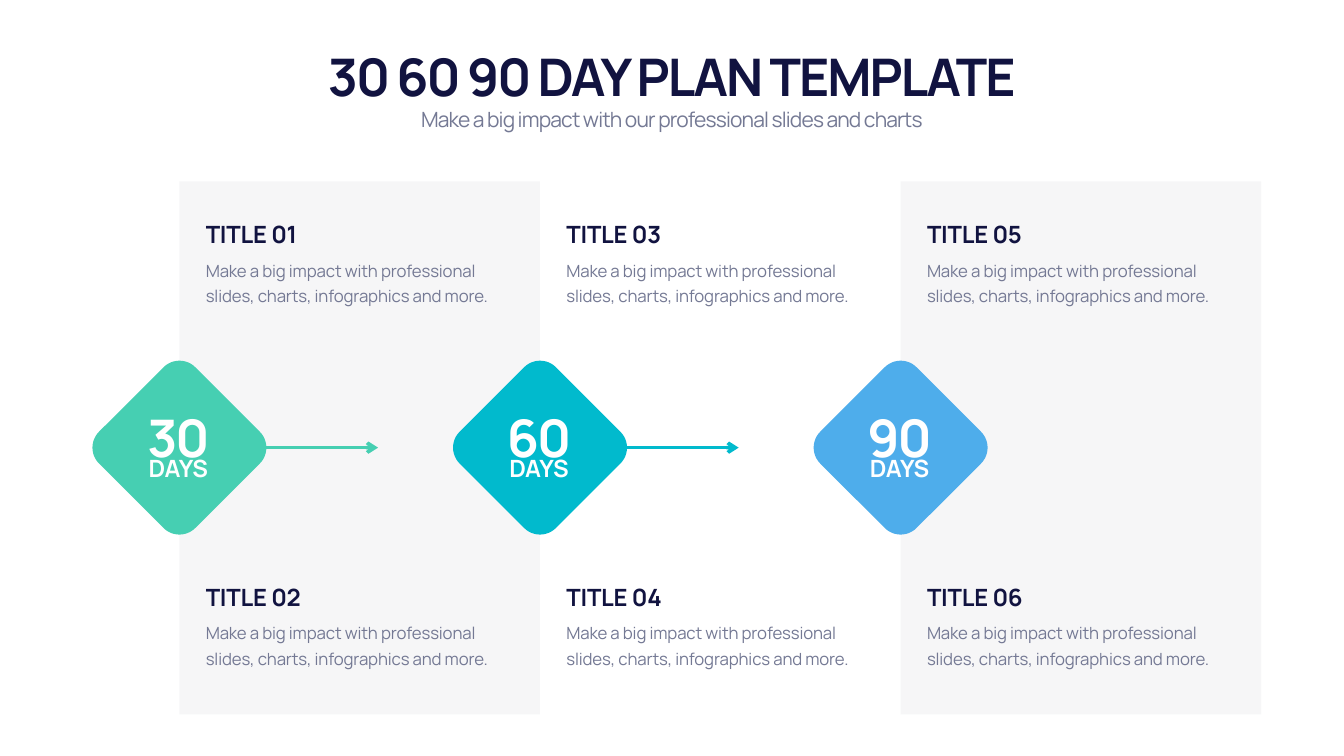
"""Build a 30 60 90 day plan slide with three milestones and six text blocks."""
from lxml import etree
from pptx import Presentation
from pptx.dml.color import RGBColor
from pptx.enum.shapes import MSO_CONNECTOR, MSO_SHAPE
from pptx.enum.text import MSO_ANCHOR, MSO_AUTO_SIZE, PP_ALIGN
from pptx.oxml.ns import qn
from pptx.util import Cm, Pt

RECTANGLE = MSO_SHAPE.RECTANGLE
ROUNDED = MSO_SHAPE.ROUNDED_RECTANGLE
STRAIGHT = MSO_CONNECTOR.STRAIGHT
TOP, BOTTOM = MSO_ANCHOR.TOP, MSO_ANCHOR.BOTTOM
LEFT, CENTER = PP_ALIGN.LEFT, PP_ALIGN.CENTER
GROW = MSO_AUTO_SIZE.SHAPE_TO_FIT_TEXT

FONT = "Manrope"
COLORS = {
    "navy": "111340",
    "gray": "747994",
    "white": "FFFFFF",
    "panel": "C3C8CE",
    "green": "46CFB2",
    "teal": "01BACD",
    "blue": "4EADEB",
}
DESCRIPTION = "Make a big impact with professional slides, charts, infographics and more."
STYLES = {
    "headline": (74, True, -290, BOTTOM),
    "subtitle": (30, False, -120, TOP),
    "title": (34, True, -30, BOTTOM),
    "days": (34, True, -30, TOP),
    "body": (24, False, -20, TOP),
}

deck = Presentation()
deck.slide_width = Cm(67.72)
deck.slide_height = Cm(38.1)
page = deck.slides.add_slide(deck.slide_layouts[6])


def add_shape(kind, left, top, width, height, color):
    shape = page.shapes.add_shape(kind, Cm(left), Cm(top), Cm(width), Cm(height))
    shape.shadow.inherit = False
    shape.fill.solid()
    shape.fill.fore_color.rgb = RGBColor.from_string(COLORS[color])
    shape.line.fill.background()
    return shape


def add_text(text, style, left, top, width, height, color, align=LEFT):
    size, bold, spacing, anchor = STYLES[style]
    box = page.shapes.add_textbox(Cm(left), Cm(top), Cm(width), Cm(height))
    frame = box.text_frame
    frame.word_wrap = True
    frame.auto_size = GROW
    frame.vertical_anchor = anchor
    frame.text = text
    para = frame.paragraphs[0]
    para.alignment = align
    if style == "body":
        para.line_spacing = Pt(36)
    span = para.runs[0]
    span.font.name = FONT
    span.font.size = Pt(size)
    span.font.bold = bold
    span.font.color.rgb = RGBColor.from_string(COLORS[color])
    span.font._element.set("spc", str(spacing))


PANEL_LEFT, PANEL_TOP = 9.04, 9.14
PITCH, PANEL_HEIGHT = 18.17, 26.87
MIDDLE = 22.56
DIAMOND_SIDE = 6.86
milestones = [("30", "green"), ("60", "teal"), ("90", "blue")]
columns = [PANEL_LEFT + PITCH * index for index in range(len(milestones))]

for left in columns[::2]:
    panel = add_shape(RECTANGLE, left, PANEL_TOP, PITCH, PANEL_HEIGHT, "panel")
    tint = panel.fill._xPr.find(".//" + qn("a:srgbClr"))
    etree.SubElement(tint, qn("a:alpha"), val="15000")

for center, (number, color) in zip(columns, milestones):
    diamond = add_shape(ROUNDED, center - DIAMOND_SIDE / 2, MIDDLE - DIAMOND_SIDE / 2,
                        DIAMOND_SIDE, DIAMOND_SIDE, color)
    diamond.adjustments[0] = 0.165
    diamond.rotation = 45

for center, (number, color) in zip(columns[:-1], milestones):
    arrow = page.shapes.add_connector(STRAIGHT, Cm(center + 4.37), Cm(MIDDLE),
                                      Cm(center + 10.01), Cm(MIDDLE))
    arrow.line.color.rgb = RGBColor.from_string(COLORS[color])
    arrow.line.width = Pt(5)
    etree.SubElement(arrow.line._get_or_add_ln(), qn("a:tailEnd"), type="arrow")
    etree.SubElement(arrow._element.spPr, qn("a:effectLst"))

add_text("30 60 90 DAY PLAN TEMPLATE", "headline", 4.22, 2.08, 59.26, 3.43, "navy", CENTER)
add_text("Make a big impact with our professional slides and charts", "subtitle",
         4.22, 5.26, 59.26, 1.55, "gray", CENTER)

for index, (center, (number, color)) in enumerate(zip(columns, milestones)):
    add_text("DAYS", "days", center - 3.01, 22.76, 5.92, 1.7, "white", CENTER)
    add_text(number, "headline", center - 3.01, 20.27, 5.92, 3.43, "white", CENTER)
    for row, top in enumerate((10.95, 29.23)):
        title = f"TITLE {2 * index + row + 1:02d}"
        add_text(title, "title", center + 1.08, top, 16.03, 1.7, "navy")
        add_text(DESCRIPTION, "body", center + 1.08, top + 1.79, 16.03, 2.77, "gray")

deck.save("out.pptx")
